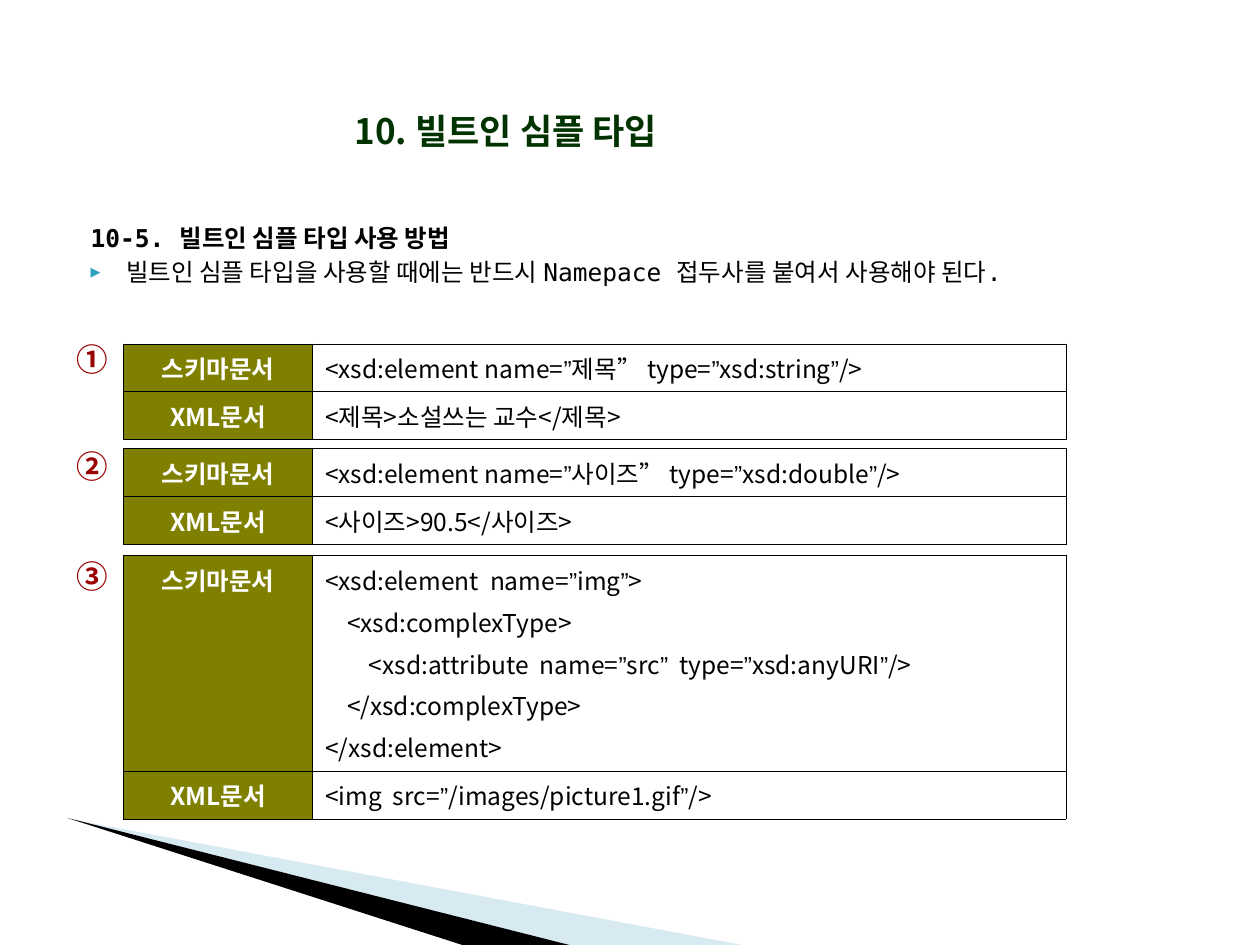
from lxml.etree import SubElement
from pptx import Presentation
from pptx.dml.color import RGBColor
from pptx.enum.text import MSO_ANCHOR, MSO_AUTO_SIZE, PP_ALIGN
from pptx.oxml.ns import qn
from pptx.util import Inches, Pt

KOREAN = "Noto Sans CJK KR"
MONO = "DejaVu Sans Mono"
QUOTE = "”"
OLIVE = "808000"
ROW_HEIGHT = 0.38

EXAMPLES = [
    (2.65, 2.73, ROW_HEIGHT, "①",
     ["<xsd:element name=”제목” type=”xsd:string”/>"],
     "<제목>소설쓰는 교수</제목>"),
    (3.5, 3.56, ROW_HEIGHT, "②",
     ["<xsd:element name=”사이즈” type=”xsd:double”/>"],
     "<사이즈>90.5</사이즈>"),
    (4.37, 4.41, 1.71, "③",
     ["<xsd:element  name=”img”>",
      "    <xsd:complexType>",
      "        <xsd:attribute  name=”src”  type=”xsd:anyURI”/>",
      "    </xsd:complexType>",
      "</xsd:element>"],
     "<img  src=”/images/picture1.gif”/>"),
]


def color(value):
    """Turn a hex string into a colour."""
    return RGBColor.from_string(value)


def format_run(run, size, value, bold=False, latin=KOREAN):
    """Set size, colour, weight and the Latin and East Asian fonts of a run."""
    font = run.font
    font.size, font.bold, font.name = Pt(size), bold, latin
    font.color.rgb = color(value)
    SubElement(font._element, qn("a:ea"), typeface=KOREAN)


def place(shape, left, top, width, height):
    """Move and size a shape, in inches."""
    shape.left, shape.top = Inches(left), Inches(top)
    shape.width, shape.height = Inches(width), Inches(height)


def add_wedge(slide, points, value, opacity=100):
    """Draw a filled polygon without an outline."""
    corners = [(Inches(x), Inches(y)) for x, y in points]
    builder = slide.shapes.build_freeform(*corners[0])
    builder.add_line_segments(corners[1:])
    shape = builder.convert_to_shape()
    shape.shadow.inherit = False
    shape.line.fill.background()
    shape.fill.solid()
    shape.fill.fore_color.rgb = color(value)
    if opacity < 100:
        fill_color = shape._element.spPr.find(qn("a:solidFill"))[0]
        SubElement(fill_color, qn("a:alpha"), val=str(opacity * 1000))


def fill_title(shape, text):
    """Write the centred slide title."""
    place(shape, 1.14, 0.76, 5.75, 0.55)
    frame = shape.text_frame
    frame.text = text
    frame.auto_size = MSO_AUTO_SIZE.NONE
    frame.vertical_anchor = MSO_ANCHOR.MIDDLE
    paragraph = frame.paragraphs[0]
    paragraph.alignment = PP_ALIGN.CENTER
    format_run(paragraph.runs[0], 20, "003300", True)


def add_bullet(properties):
    """Give a paragraph a small blue triangle."""
    bullet_color = SubElement(properties, qn("a:buClr"))
    SubElement(bullet_color, qn("a:srgbClr"), val="2DA2BF")
    SubElement(properties, qn("a:buSzPct"), val="68000")
    SubElement(properties, qn("a:buFont"), typeface=MONO)
    SubElement(properties, qn("a:buChar"), char="▶")


def fill_body(shape, heading, point):
    """Write the bold heading and the bulleted point below it."""
    place(shape, 0.5, 1.75, 8.99, 0.58)
    frame = shape.text_frame
    frame.text = f"{heading}\n{point}"
    frame.auto_size = MSO_AUTO_SIZE.NONE
    for index, paragraph in enumerate(frame.paragraphs):
        paragraph.line_spacing = 0.9
        paragraph.space_before = Pt(4 * index)
        properties = paragraph._p.get_or_add_pPr()
        properties.set("marL", str(Inches(0.4)))
        properties.set("indent", str(Inches(-0.28)))
        if index:
            add_bullet(properties)
        else:
            SubElement(properties, qn("a:buNone"))
        format_run(paragraph.runs[0], 14, "000000", index == 0, MONO)


def add_number(slide, top, text):
    """Add the circled number beside a table."""
    box = slide.shapes.add_textbox(*map(Inches, (0.51, top, 0.47, 0.4)))
    frame = box.text_frame
    frame.text = text
    frame.word_wrap = True
    frame.vertical_anchor = MSO_ANCHOR.MIDDLE
    format_run(frame.paragraphs[0].runs[0], 18, "990000", True)


def set_borders(cell):
    """Draw thin black lines on all sides of a cell."""
    properties = cell._tc.get_or_add_tcPr()
    for index, side in enumerate(("lnL", "lnR", "lnT", "lnB")):
        line = properties.makeelement(qn(f"a:{side}"), {"w": str(Pt(0.45))})
        fill = SubElement(line, qn("a:solidFill"))
        SubElement(fill, qn("a:srgbClr"), val="000000")
        properties.insert(index, line)


def fill_label(cell, text):
    """Write a white row label on olive."""
    cell.text = text
    cell.fill.solid()
    cell.fill.fore_color.rgb = color(OLIVE)
    paragraph = cell.text_frame.paragraphs[0]
    paragraph.alignment = PP_ALIGN.CENTER
    format_run(paragraph.runs[0], 14, "FFFFFF", True)


def split_quotes(text):
    """Split code at quotation marks, keeping a single space with its mark."""
    marked = text.replace(QUOTE, f"\n{QUOTE}\n").replace("\n type", " \ntype")
    return [piece for piece in marked.split("\n") if piece]


def fill_code(cell, lines):
    """Write code lines with the quotation marks in Arial."""
    cell.fill.background()
    cell.text = "\n".join(lines)
    for index, paragraph in enumerate(cell.text_frame.paragraphs):
        paragraph.space_before = Pt(3.5 if index else 0)
        pieces = split_quotes(paragraph.text)
        paragraph.clear()
        for piece in pieces:
            run = paragraph.add_run()
            run.text = piece
            latin = "Arial" if piece.strip() == QUOTE else KOREAN
            format_run(run, 14, "000000", latin=latin)


def add_example(slide, top, schema_height, schema, document):
    """Add a table that pairs a schema with its XML document."""
    heights = (schema_height, ROW_HEIGHT)
    area = map(Inches, (0.98, top, 7.48, sum(heights)))
    table = slide.shapes.add_table(2, 2, *area).table
    table.first_row = table.horz_banding = False
    for column, width in zip(table.columns, (1.5, 5.98)):
        column.width = Inches(width)
    for row, height in zip(table.rows, heights):
        row.height = Inches(height)
    contents = (("스키마문서", schema), ("XML문서", [document]))
    for row, (label, lines) in zip(table.rows, contents):
        fill_label(row.cells[0], label)
        fill_code(row.cells[1], lines)
        for cell in row.cells:
            set_borders(cell)


def main():
    """Build and save the slide."""
    presentation = Presentation()
    presentation.slide_width = Inches(10)
    presentation.slide_height = Inches(7.5)
    slide = presentation.slides.add_slide(presentation.slide_layouts[1])
    add_wedge(slide, [(0.55, 6.5), (5.89, 7.5), (4.52, 7.5)], "9FCBDC", 40)
    add_wedge(slide, [(0.53, 6.49), (4.52, 7.5), (3.67, 7.5)], "000000")
    fill_title(slide.shapes.title, "10. 빌트인 심플 타입")
    fill_body(slide.placeholders[1], "10-5. 빌트인 심플 타입 사용 방법",
              "빌트인 심플 타입을 사용할 때에는 반드시 Namepace 접두사를 붙여서 사용해야 된다.")
    for number_top, top, height, number, schema, document in EXAMPLES:
        add_number(slide, number_top, number)
        add_example(slide, top, height, schema, document)
    presentation.save("out.pptx")


if __name__ == "__main__":
    main()
